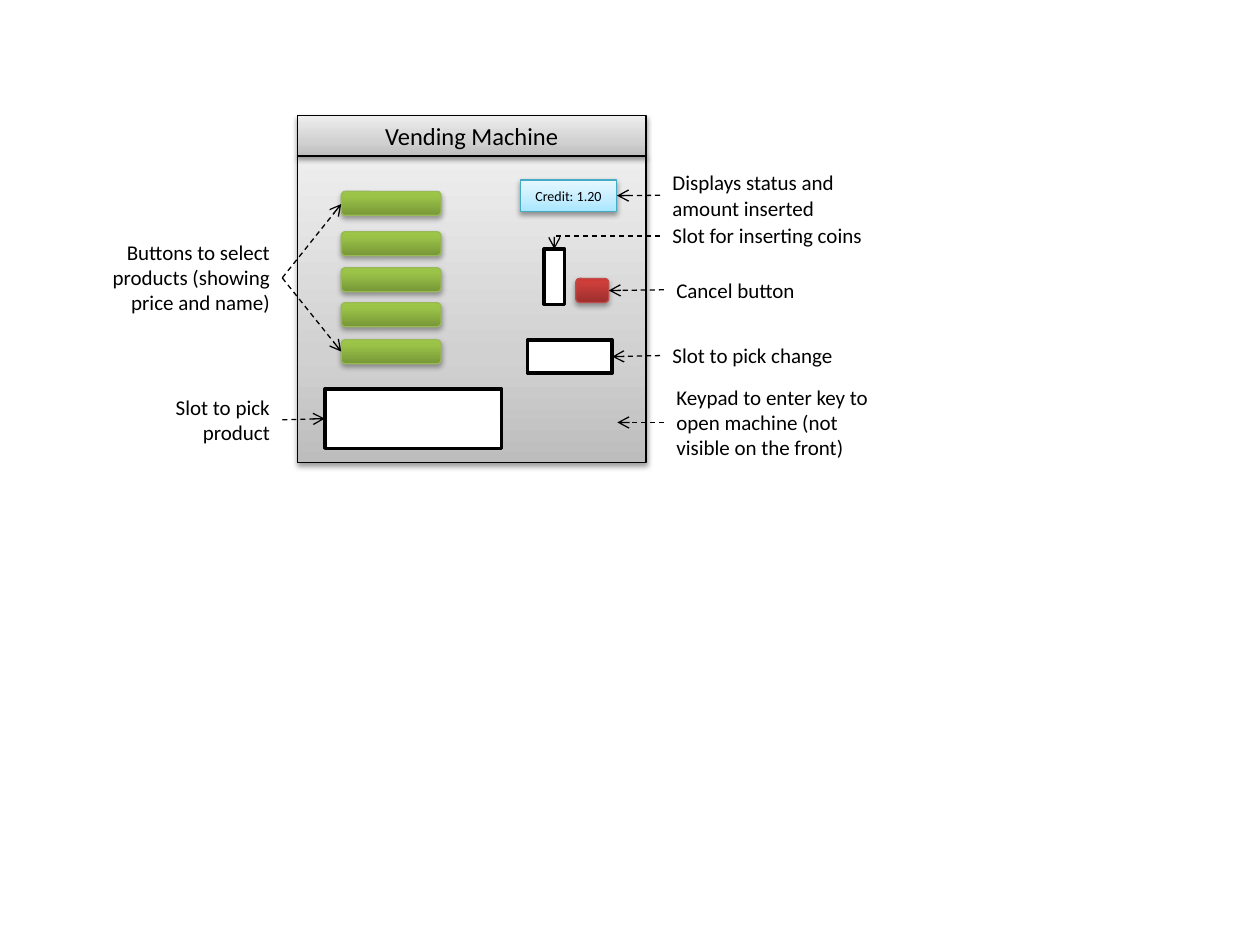
from copy import deepcopy

from lxml.etree import SubElement
from pptx import Presentation
from pptx.dml.color import RGBColor
from pptx.enum.dml import MSO_LINE
from pptx.enum.shapes import MSO_CONNECTOR, MSO_SHAPE
from pptx.enum.text import MSO_ANCHOR, MSO_AUTO_SIZE, PP_ALIGN
from pptx.oxml.ns import qn
from pptx.util import Pt

# Gradient stops run from the bottom edge to the top edge
GREY = [(0, "BDBDBD"), (0.35, "D1D1D1"), (1, "EEEEEE")]
BLUE = [(0, "A7E6FF"), (0.35, "C1EDFF"), (1, "E7F8FF")]
GREEN = [(0, "779737"), (0.8, "9BC348"), (1, "9DC746")]
RED = [(0, "9C2F2D"), (0.8, "CB3E3A"), (1, "CE3B37")]


def color(code):
    return RGBColor.from_string(code)


def write(frame, text, size=12, align=PP_ALIGN.LEFT, anchor=MSO_ANCHOR.TOP):
    frame.word_wrap = True
    frame.vertical_anchor = anchor
    par = frame.paragraphs[0]
    par.text = text
    par.alignment = align
    par.font.size = Pt(size)
    par.font.name = "Calibri"
    par.font.color.rgb = color("000000")


def shade(shape, stops):
    """Fill upwards with three colours."""
    fill = shape.fill
    fill.gradient()
    fill.gradient_angle = 90
    first = shape.element.spPr.find(".//" + qn("a:gs"))
    first.addnext(deepcopy(first))
    for stop, (place, code) in zip(fill.gradient_stops, stops):
        stop.position = place
        stop.color.rgb = color(code)


def cast(shape, alpha=38, dist=1.6):
    """Drop a soft shadow straight down."""
    effects = shape.element.spPr.find(qn("a:effectLst"))
    drop = SubElement(effects, qn("a:outerShdw"), blurRad=str(Pt(3.1)),
                      dist=str(Pt(dist)), dir="5400000", rotWithShape="0")
    black = SubElement(drop, qn("a:srgbClr"), val="000000")
    SubElement(black, qn("a:alpha"), val=str(alpha * 1000))


def block(slide, box, kind=MSO_SHAPE.RECTANGLE, line="000000", width=0.75):
    shape = slide.shapes.add_shape(kind, *map(Pt, box))
    shape.shadow.inherit = False
    shape.line.color.rgb = color(line)
    shape.line.width = Pt(width)
    return shape


def panel(slide, box, stops, line="000000"):
    shape = block(slide, box, line=line)
    shade(shape, stops)
    cast(shape)
    return shape


def slot(slide, *box):
    shape = block(slide, box, width=2)
    shape.fill.solid()
    shape.fill.fore_color.rgb = color("FFFFFF")


def button(slide, box, stops, line):
    shape = block(slide, box, MSO_SHAPE.ROUNDED_RECTANGLE, line)
    shade(shape, stops)
    cast(shape, alpha=35, dist=1.8)


def label(slide, text, box, **style):
    shape = slide.shapes.add_textbox(*map(Pt, box))
    write(shape.text_frame, text, **style)
    shape.text_frame.auto_size = MSO_AUTO_SIZE.SHAPE_TO_FIT_TEXT


def arrow(slide, *ends, bent=False):
    kind = MSO_CONNECTOR.ELBOW if bent else MSO_CONNECTOR.STRAIGHT
    link = slide.shapes.add_connector(kind, *map(Pt, ends))
    props = link.element.spPr
    if bent:
        props.find(qn("a:prstGeom")).set("prst", "bentConnector2")
    link.line.color.rgb = color("000000")
    link.line.width = Pt(0.75)
    link.line.dash_style = MSO_LINE.DASH
    SubElement(props.find(qn("a:ln")), qn("a:tailEnd"), type="arrow")
    SubElement(props, qn("a:effectLst"))


def main():
    deck = Presentation()
    deck.slide_width, deck.slide_height = Pt(720), Pt(540)
    slide = deck.slides.add_slide(deck.slide_layouts[6])
    middle = {"align": PP_ALIGN.CENTER, "anchor": MSO_ANCHOR.MIDDLE}

    # Machine body and header
    panel(slide, (170, 89.2, 199.2, 175), GREY)
    head = panel(slide, (170, 66, 199.2, 23.2), GREY)
    write(head.text_frame, "Vending Machine", size=14, **middle)

    # Slots for coins, change and product
    slot(slide, 311, 142.3, 11.7, 31.7)
    slot(slide, 301.5, 194.4, 48.4, 18.8)
    slot(slide, 185.6, 222.2, 101, 34)

    # Credit display
    credit = panel(slide, (297.4, 102.8, 55, 18), BLUE, "46AAC5")
    write(credit.text_frame, "Credit: 1.20", size=8, **middle)

    # Product buttons and cancel button
    for top in (109.4, 132.4, 153, 173, 194.2):
        button(slide, (195, top, 57, 13.7), GREEN, "98B955")
    button(slide, (329, 159.1, 18.9, 13.7), RED, "BF4C48")

    # Captions
    for text, *box in (
        ("Displays status and amount inserted", 377.2, 93.6, 116.8, 36),
        ("Slot for inserting coins", 377.2, 123.9, 149, 21.6),
        ("Cancel button", 379.4, 154.9, 149, 21.6),
        ("Slot to pick change", 377.2, 192.4, 116.8, 21.6),
        ("Keypad to enter key to open machine (not visible on the front)",
         379.4, 216, 131, 51),
    ):
        label(slide, text, box)
    for text, *box in (
        ("Buttons to select products (showing price and name)",
         54.7, 133.2, 106.6, 51),
        ("Slot to pick product", 92.2, 221.8, 69.1, 36),
    ):
        label(slide, text, box, align=PP_ALIGN.RIGHT)

    # Pointers from captions to parts
    for ends in (
        (377.2, 111.6, 352.6, 111.8),
        (379.4, 165.6, 347.9, 166),
        (377.2, 203.2, 349.9, 203.8),
        (379.4, 241.4, 352.8, 241.4),
        (161.3, 158.8, 195, 116.6),
        (161.3, 158.8, 195, 200.9),
        (161.3, 239.9, 185.6, 239.2),
    ):
        arrow(slide, *ends)
    arrow(slide, 377.2, 134.8, 316.8, 142.3, bent=True)

    deck.save("out.pptx")


if __name__ == "__main__":
    main()
